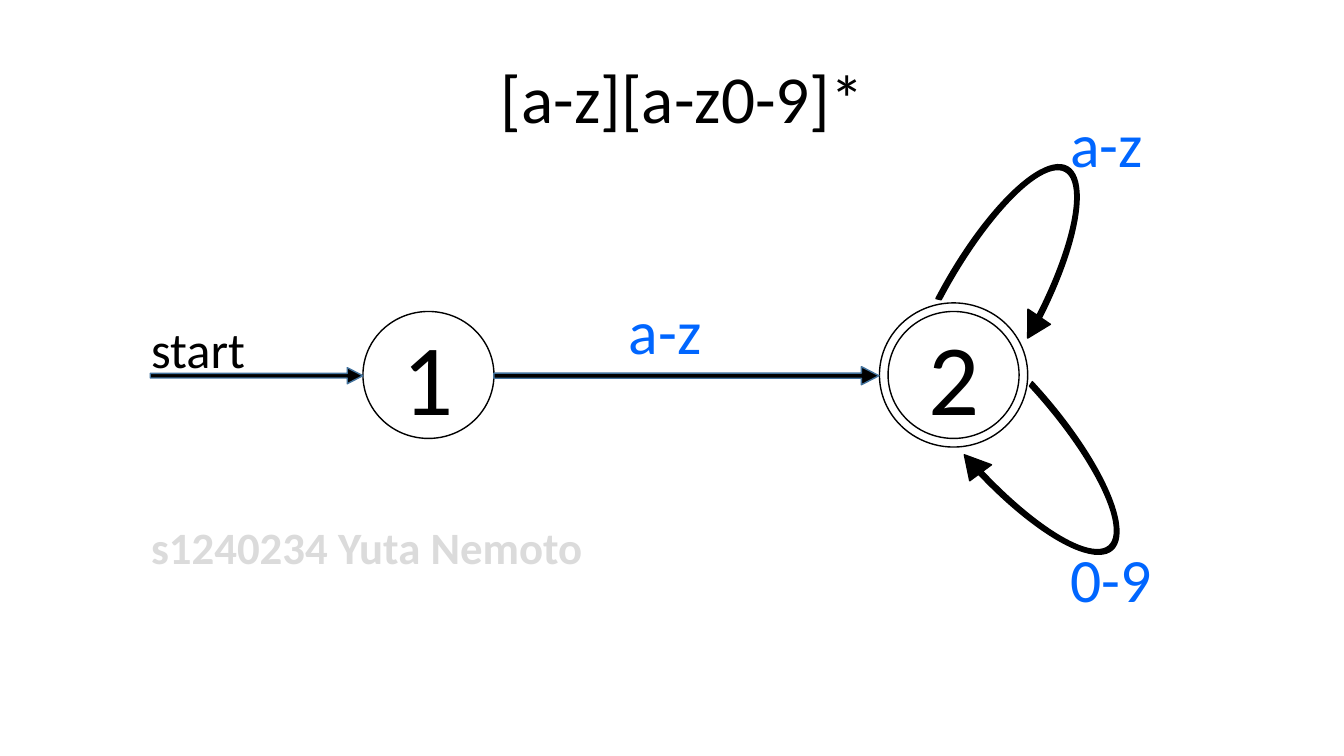
import pptx
import pptx.dml.color
import pptx.enum.shapes
import pptx.enum.text
import pptx.util

SHAPE = pptx.enum.shapes.MSO_SHAPE
BLACK, WHITE, BLUE, STEEL, GRAY = "000000", "FFFFFF", "0066FF", "43739E", "DBDBDB"


def color(hex_text):
    return pptx.dml.color.RGBColor.from_string(hex_text)


class Diagram:
    """Places elements by percent of the slide's width and height."""

    font = "Calibri"
    state_width, state_height = 9.75, 16.8
    axis = 49.6  # height of the line through both states

    def __init__(self, deck):
        self.deck = deck
        self.page = deck.slides.add_slide(deck.slide_layouts[6])

    def area(self, left, top, width, height):
        across, down = self.deck.slide_width / 100, self.deck.slide_height / 100
        return [round(n) for n in (left * across, top * down, width * across, height * down)]

    def set_text(self, shape, text, size, ink, bold=None):
        para = shape.text_frame.paragraphs[0]
        para.text = text
        para.font.name = self.font
        para.font.size = pptx.util.Pt(size)
        para.font.color.rgb = color(ink)
        para.font.bold = bold
        return para

    def shape(self, kind, center, middle, width, height, fill=BLACK, line=BLACK, adjust=(), turn=0):
        box = self.page.shapes.add_shape(
            kind, *self.area(center - width / 2, middle - height / 2, width, height))
        box.shadow.inherit = False
        box.fill.solid()
        box.fill.fore_color.rgb = color(fill)
        box.line.color.rgb = color(line)
        box.line.width = pptx.util.Pt(1)
        box.rotation = turn
        for index, value in enumerate(adjust):
            box.adjustments[index] = value
        return box

    def state(self, text, center):
        circle = self.shape(SHAPE.OVAL, center, self.axis,
                            self.state_width, self.state_height, WHITE)
        circle.text_frame.vertical_anchor = pptx.enum.text.MSO_ANCHOR.MIDDLE
        self.set_text(circle, text, 72, BLACK).alignment = pptx.enum.text.PP_ALIGN.CENTER

    def ring(self, center):
        self.shape(SHAPE.DONUT, center, self.axis, 11.03, 19.07, WHITE, adjust=[0.066])

    def arrow(self, start, end, height):
        self.shape(SHAPE.RIGHT_ARROW, (start + end) / 2, self.axis + 0.1, end - start, height,
                   line=STEEL, adjust=[0.281, 0.967])

    def loop(self, center, middle, turn):
        self.shape(SHAPE.CIRCULAR_ARROW, center, middle, 9.23, 46.53,
                   adjust=[0.042, 16.559, 202.371, 98.66, 0.109], turn=turn)

    def label(self, text, left, top, width, height, size=44, ink=BLUE, bold=None, wrap=True):
        box = self.page.shapes.add_textbox(*self.area(left, top, width, height))
        box.text_frame.word_wrap = wrap
        box.text_frame.auto_size = pptx.enum.text.MSO_AUTO_SIZE.SHAPE_TO_FIT_TEXT
        self.set_text(box, text, size, ink, bold)


def main():
    deck = pptx.Presentation()
    deck.slide_width = pptx.util.Inches(13.33)
    deck.slide_height = pptx.util.Inches(7.5)
    diagram = Diagram(deck)
    first, second = 31.88, 70.95

    # States, the second one accepting
    diagram.state("1", first)
    diagram.ring(second)
    diagram.state("2", second)

    # Start arrow and title
    diagram.arrow(11.18, 27, 2.13)
    diagram.label("start", 10.5, 41.47, 8.55, 9.47, 36, BLACK, wrap=False)
    diagram.label("[a-z][a-z0-9]*", 36.53, 6.8, 28.88, 12.13, 48, BLACK, wrap=False)

    # Transitions
    diagram.arrow(36.75, 65.4, 2.4)
    diagram.loop(74.66, 56.33, 138.7)
    diagram.loop(73.46, 41.13, 29.1)

    # Transition labels
    diagram.label("a-z", 78.9, 13.33, 7.2, 11.2)
    diagram.label("a-z", 46.05, 38.13, 7.2, 11.2)
    diagram.label("0-9", 78.9, 70.93, 8.93, 11.2)

    # Author
    diagram.label("s1240234 Yuta Nemoto", 10.5, 68.13, 51, 8.53, 32, GRAY, bold=True)

    deck.save("out.pptx")


if __name__ == "__main__":
    main()
